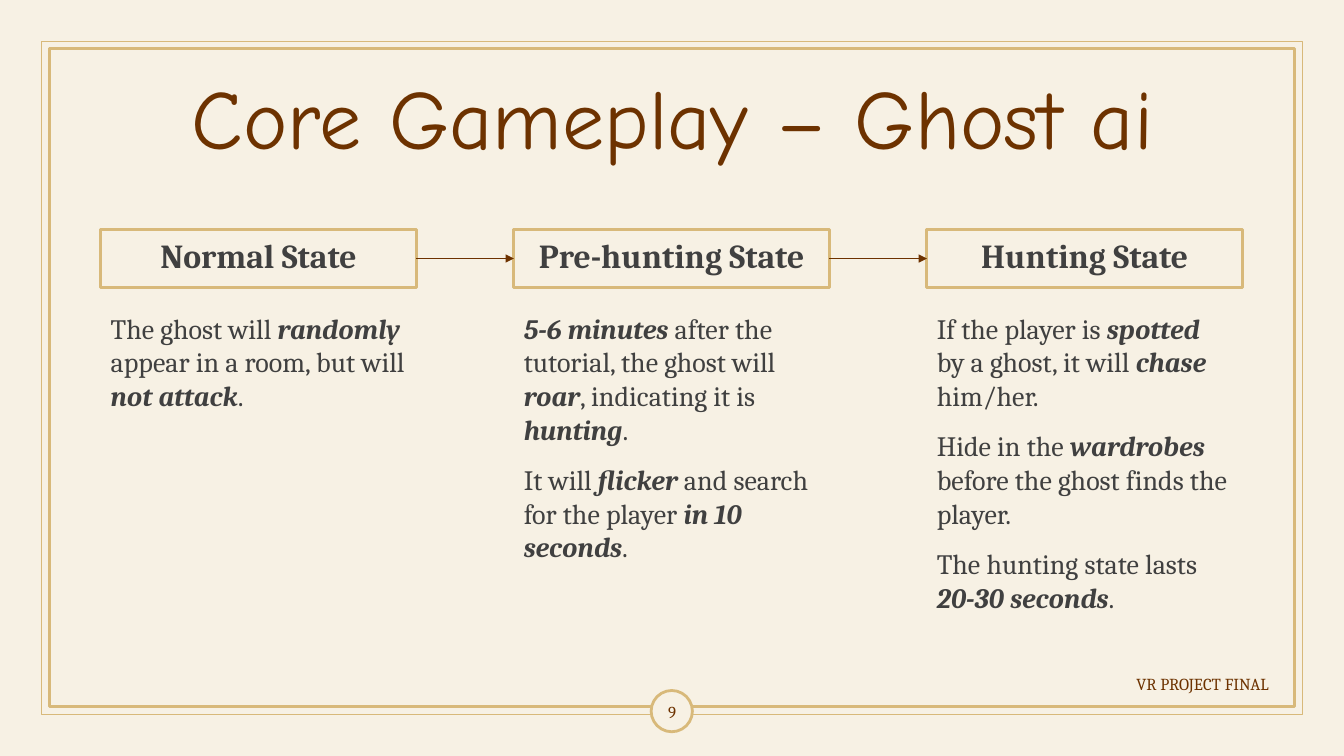
from pptx import Presentation
from pptx.dml.color import RGBColor
from pptx.enum.shapes import MSO_CONNECTOR as Link, MSO_SHAPE as Shape
from pptx.enum.text import MSO_ANCHOR as Anchor, PP_ALIGN as Align
from pptx.oxml.ns import qn
from pptx.util import Cm, Pt
from lxml.etree import SubElement

CREAM, GOLD, BROWN, GREY = "F7F1E4", "D8B97A", "6D3200", "404040"

# Asterisks enclose the stressed words.
STATES = [
    ("Normal State", 4.5, [
        "The ghost will *randomly* appear in a room, but will *not attack*."]),
    ("Pre-hunting State", 7.57, [
        "*5-6 minutes *after the tutorial, the ghost will *roar*, "
        "indicating it is *hunting*.",
        "It will *flicker* and search for the player *in 10 seconds*."]),
    ("Hunting State", 8.05, [
        "If the player is *spotted* by a ghost, it will *chase* him/her.",
        "Hide in the *wardrobes* before the ghost finds the player.",
        "The hunting state lasts *20-30 seconds*."]),
]
LEFT, STEP, WIDTH = 2.54, 10.41, 7.95


def color(code):
    return RGBColor.from_string(code)


class Board:
    def __init__(self, slide, font="Cambria"):
        self.slide, self.font = slide, font
        back = slide.background.fill
        back.solid()
        back.fore_color.rgb = color(CREAM)

    def frame(self, kind, x, y, w, h, line, fill=None):
        item = self.slide.shapes.add_shape(kind, Cm(x), Cm(y), Cm(w), Cm(h))
        item.shadow.inherit = False
        if fill:
            item.fill.solid()
            item.fill.fore_color.rgb = color(fill)
        else:
            item.fill.background()
        item.line.color.rgb = color(GOLD)
        item.line.width = Pt(line)
        return item

    def put(self, item, texts, size, tint, align=Align.LEFT,
            anchor=Anchor.MIDDLE, font=None, bold=False, gap=0, lead=None):
        """Fill a shape with paragraphs, stressing the words between asterisks."""
        frame = item.text_frame
        frame.word_wrap = True
        frame.vertical_anchor = anchor
        for n, text in enumerate(texts):
            para = frame.add_paragraph() if n else frame.paragraphs[0]
            para.alignment = align
            para.line_spacing = lead
            para.space_before = Pt(gap if n else 0)
            para.space_after = Pt(gap)
            for k, part in enumerate(text.split("*")):
                if not part:
                    continue
                run = para.add_run()
                run.text = part
                face = run.font
                face.name, face.size = font or self.font, Pt(size)
                face.color.rgb = color(tint)
                stress = k % 2 == 1
                face.bold, face.italic = bold or stress, stress

    def label(self, x, y, w, h, texts, size, tint, **style):
        item = self.slide.shapes.add_textbox(Cm(x), Cm(y), Cm(w), Cm(h))
        self.put(item, texts, size, tint, **style)

    def arrow(self, start, end):
        """Join the right side of one box to the left side of the next."""
        link = self.slide.shapes.add_connector(Link.STRAIGHT, 0, 0, 0, 0)
        link.begin_connect(start, 3)
        link.end_connect(end, 1)
        link.line.color.rgb = color(BROWN)
        link.line.width = Pt(0.5)
        SubElement(link.get_or_add_ln(), qn("a:tailEnd"), type="triangle")
        SubElement(link._element.spPr, qn("a:effectLst"))


def main():
    deck = Presentation()
    deck.slide_width, deck.slide_height = Cm(33.87), Cm(19.05)
    board = Board(deck.slides.add_slide(deck.slide_layouts[6]))

    board.frame(Shape.RECTANGLE, 1.04, 1.04, 31.78, 16.97, 1)
    board.frame(Shape.RECTANGLE, 1.24, 1.22, 31.39, 16.59, 2)
    board.frame(Shape.OVAL, 16.41, 17.4, 1.04, 1.04, 2, CREAM)
    board.label(16.18, 17.42, 1.52, 1.02, ["9"], 12, BROWN, align=Align.CENTER)
    board.label(2.34, 1.75, 29.21, 2.64, ["Core Gameplay – Ghost ai"], 60, BROWN,
                align=Align.CENTER, font="Comic Neue", lead=0.9)
    board.label(22.78, 16.84, 9.45, 0.76, ["VR PROJECT FINAL"], 12, BROWN,
                align=Align.RIGHT)

    boxes = []
    for n, (name, height, texts) in enumerate(STATES):
        x = LEFT + n * STEP
        box = board.frame(Shape.RECTANGLE, x, 5.79, WIDTH, 1.45, 2.25)
        board.put(box, [name], 24, GREY, align=Align.CENTER,
                  anchor=Anchor.TOP, bold=True, gap=3)
        board.label(x, 7.72, WIDTH, height, texts, 20, GREY,
                    anchor=Anchor.TOP, gap=6)
        boxes.append(box)
    for start, end in zip(boxes, boxes[1:]):
        board.arrow(start, end)

    deck.save("out.pptx")


if __name__ == "__main__":
    main()
